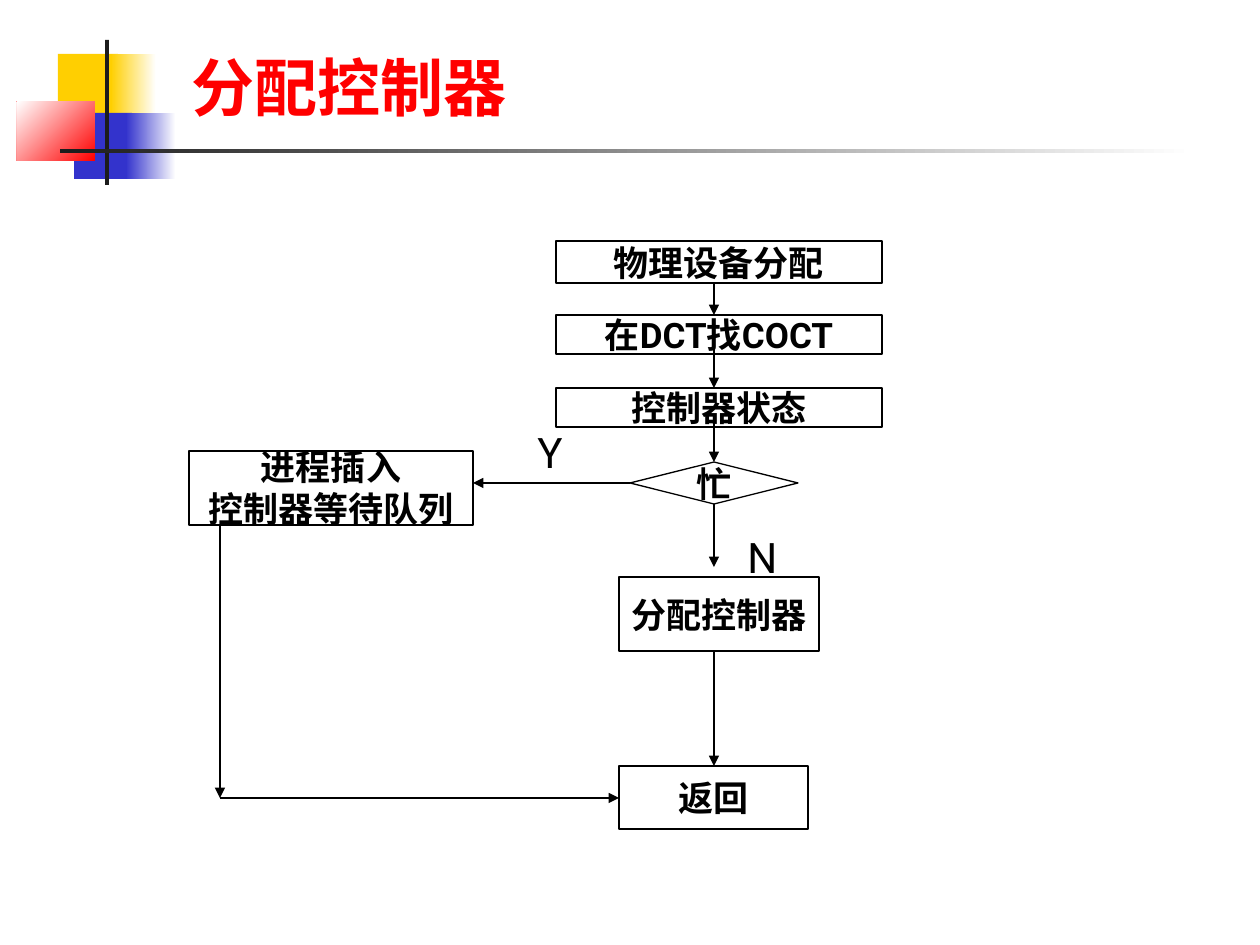
from lxml import etree
from pptx import Presentation
from pptx.dml.color import RGBColor
from pptx.enum.shapes import MSO_CONNECTOR, MSO_SHAPE
from pptx.enum.text import MSO_ANCHOR, MSO_AUTO_SIZE, PP_ALIGN
from pptx.oxml.ns import qn
from pptx.util import Emu, Pt

RECTANGLE = MSO_SHAPE.RECTANGLE
PROCESS = MSO_SHAPE.FLOWCHART_PROCESS
DECISION = MSO_SHAPE.FLOWCHART_DECISION
STRAIGHT = MSO_CONNECTOR.STRAIGHT
CENTER, LEFT = PP_ALIGN.CENTER, PP_ALIGN.LEFT

FONT = "Roboto"
PX_PER_INCH = 126
COLORS = {
    "yellow": "FFCF01", "blue": "3333CC", "red": "FF0000",
    "white": "FFFFFF", "dark": "1C1C1C", "black": "000000",
}

TITLE = ("分配控制器", (179, 45, 975, 85))

DECORATIONS = [
    ((58, 54, 60, 66), ["yellow"], 0),
    ((111, 54, 45, 66), ["white", "yellow"], 180),
    ((74, 113, 58, 66), ["blue"], 0),
    ((126, 113, 50, 66), ["white", "blue"], 180),
    ((17, 102, 78, 59), ["red", "white"], 135),
    ((105, 40, 4, 145), ["dark"], 0),
    ((60, 149, 1134, 4), ["white", "dark"], 180),
]

STEPS = [
    (PROCESS, (556, 241, 326, 42), ["物理设备分配"]),
    (PROCESS, (556, 315, 326, 39), ["在DCT找COCT"]),
    (PROCESS, (556, 388, 326, 39), ["控制器状态"]),
    (DECISION, (630, 462, 168, 42), ["忙"]),
    (PROCESS, (189, 451, 284, 74), ["进程插入", "控制器等待队列"]),
    (PROCESS, (619, 577, 200, 74), ["分配控制器"]),
    (PROCESS, (619, 766, 189, 63), ["返回"]),
]

MAIN_X, WAIT_X, BUSY_Y, RETURN_Y = 714, 220, 483, 798
MAIN_ARROWS = [(420, 462), (347, 388), (283, 315), (504, 567), (651, 766)]
ARROWS = [(MAIN_X, top, MAIN_X, bottom) for top, bottom in MAIN_ARROWS] + [
    (630, BUSY_Y, 473, BUSY_Y),
    (WAIT_X, 525, WAIT_X, RETURN_Y),
    (WAIT_X, RETURN_Y, 619, RETURN_Y),
]

BRANCH_LABELS = [("Y", (525, 420, 95, 63)), ("N", (735, 525, 53, 63))]


def px(*lengths):
    return [Emu(round(length * 914400 / PX_PER_INCH)) for length in lengths]


def color(name):
    return RGBColor.from_string(COLORS[name])


def write(frame, lines, size, color_name, bold, alignment):
    for index, line in enumerate(lines):
        paragraph = frame.paragraphs[0] if index == 0 else frame.add_paragraph()
        paragraph.alignment = alignment
        run = paragraph.add_run()
        run.text = line
        run.font.size = Pt(size)
        run.font.bold = bold
        run.font.color.rgb = color(color_name)
        run.font.name = FONT
        etree.SubElement(run.font._element, qn("a:ea"), typeface=FONT)


def add_title(slide):
    text, box = TITLE
    title = slide.shapes.title
    title.left, title.top, title.width, title.height = px(*box)
    frame = title.text_frame
    frame.auto_size = MSO_AUTO_SIZE.NONE
    frame.vertical_anchor = MSO_ANCHOR.BOTTOM
    write(frame, [text], 36, "red", True, LEFT)


def add_decoration(slide, box, fill_colors, angle):
    shape = slide.shapes.add_shape(RECTANGLE, *px(*box))
    shape.shadow.inherit = False
    shape.line.fill.background()
    if len(fill_colors) == 1:
        shape.fill.solid()
        shape.fill.fore_color.rgb = color(fill_colors[0])
        return
    shape.fill.gradient()
    shape.fill.gradient_angle = angle
    for stop, name in zip(shape.fill.gradient_stops, fill_colors):
        stop.color.rgb = color(name)


def add_step(slide, kind, box, lines):
    shape = slide.shapes.add_shape(kind, *px(*box))
    shape.shadow.inherit = False
    shape.fill.solid()
    shape.fill.fore_color.rgb = color("white")
    shape.line.color.rgb = color("black")
    shape.line.width = Pt(0.75)
    frame = shape.text_frame
    frame.word_wrap = False
    frame.vertical_anchor = MSO_ANCHOR.MIDDLE
    write(frame, lines, 20, "black", True, CENTER)


def add_arrow(slide, ends):
    connector = slide.shapes.add_connector(STRAIGHT, *px(*ends))
    connector.line.color.rgb = color("black")
    connector.line.width = Pt(1.5)
    etree.SubElement(connector.line._get_or_add_ln(), qn("a:tailEnd"), type="triangle")
    etree.SubElement(connector._element.spPr, qn("a:effectLst"))


def add_branch_label(slide, text, box):
    frame = slide.shapes.add_textbox(*px(*box)).text_frame
    frame.word_wrap = True
    write(frame, [text], 24, "black", False, LEFT)


def main():
    presentation = Presentation()
    presentation.slide_width, presentation.slide_height = px(1260, 945)
    slide = presentation.slides.add_slide(presentation.slide_layouts[5])
    for decoration in DECORATIONS:
        add_decoration(slide, *decoration)
    add_title(slide)
    for step in STEPS:
        add_step(slide, *step)
    for ends in ARROWS:
        add_arrow(slide, ends)
    for label in BRANCH_LABELS:
        add_branch_label(slide, *label)
    presentation.save("out.pptx")


if __name__ == "__main__":
    main()
